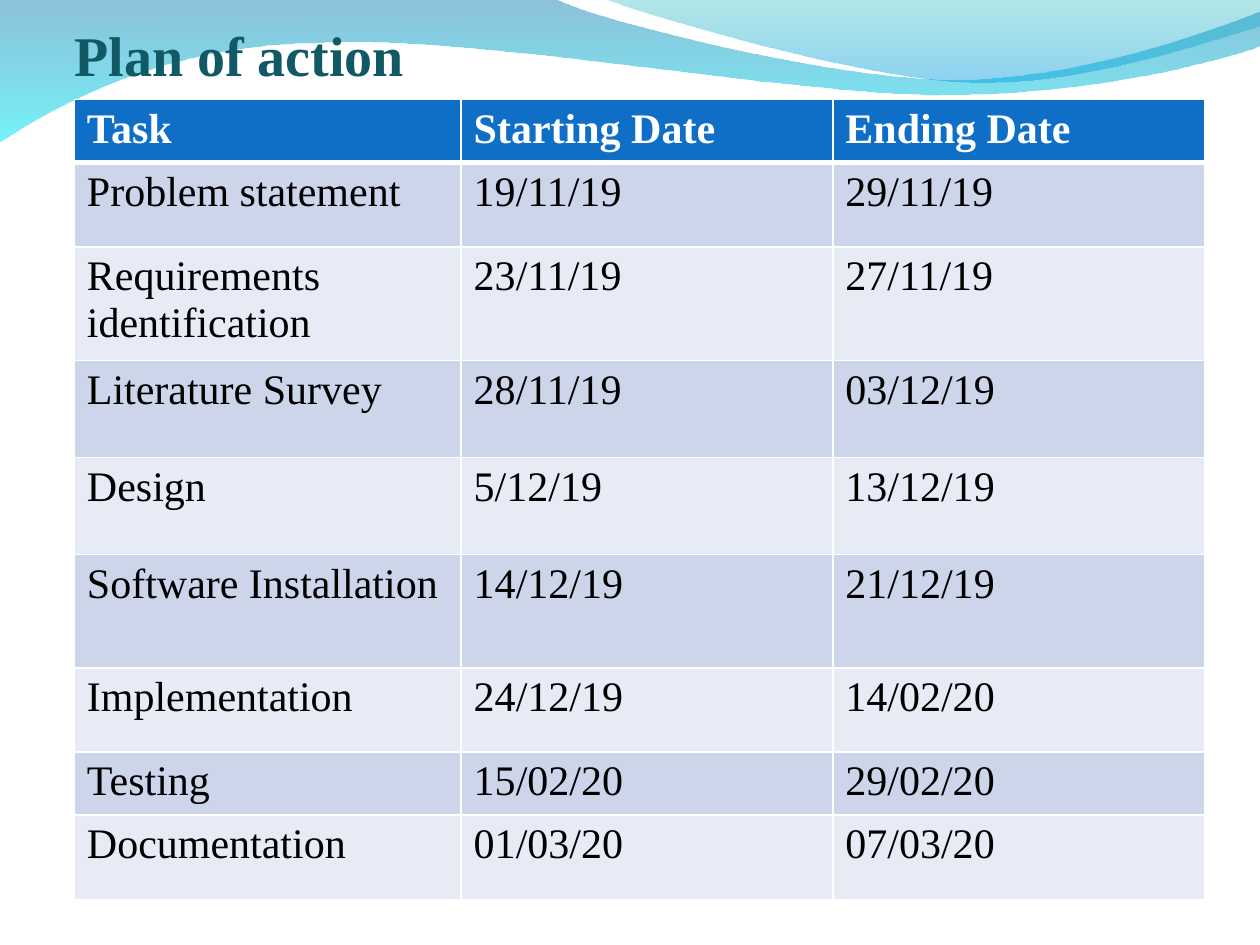
from lxml.etree import SubElement
from pptx import Presentation
from pptx.dml.color import RGBColor
from pptx.enum.text import MSO_ANCHOR
from pptx.oxml.ns import qn
from pptx.util import Inches, Pt

COLORS = {
    "title": "115964", "header": "0F6FC6", "header_text": "FFFFFF",
    "text": "000000", "band_dark": "CCD5EA", "band_light": "E7EBF5",
    "border": "FFFFFF",
}
FONT = "Times New Roman"
HEADER_BORDERS = {"a:lnL": 1, "a:lnR": 1, "a:lnT": 1, "a:lnB": 3}


def set_font(font, size, color, bold):
    font.name, font.size, font.bold = FONT, Pt(size), bold
    font.color.rgb = RGBColor.from_string(COLORS[color])


def set_borders(cell, widths):
    properties = cell._tc.get_or_add_tcPr()
    for position, (tag, width) in enumerate(widths.items()):
        line = SubElement(properties, qn(tag), w=str(Pt(width)))
        fill = SubElement(line, qn("a:solidFill"))
        SubElement(fill, qn("a:srgbClr"), val=COLORS["border"])
        properties.insert(position, line)


presentation = Presentation()
presentation.slide_width, presentation.slide_height = Inches(10), Inches(7.5)
slide = presentation.slides.add_slide(presentation.slide_layouts[6])

# Waves along the top: start, segments (one point is a line, three are a curve),
# then gradient stops as (colour, opacity %)
waves = [
    ((0, -0.01),
     [[(4.4, -0.01)],
      [(4.76, 0.17), (6.64, 0.63), (7.58, 0.63)],
      [(8.53, 0.63), (9.58, 0.26), (10, 0.09)],
      [(10.01, 0.36)],
      [(9.83, 0.44), (8.7, 0.76), (7.46, 0.75)],
      [(6.22, 0.75), (3.82, 0.28), (2.57, 0.34)],
      [(1.29, 0.35), (0.46, 0.83), (-0.01, 1.13)],
      [(0, -0.01)]],
     [("0079AF", 45), ("00EBF8", 55)]),
    ((4.79, -0.01),
     [[(5.09, 0.11), (6.82, 0.62), (7.69, 0.65)],
      [(8.56, 0.69), (9.61, 0.32), (10, 0.21)],
      [(10, 0)],
      [(4.79, -0.01)]],
     [("00ADB6", 30), ("009BE5", 45)]),
]
for (start_x, start_y), segments, stops in waves:
    builder = slide.shapes.build_freeform(Inches(start_x), Inches(start_y))
    builder.add_line_segments(
        [(Inches(x), Inches(y)) for segment in segments for x, y in segment], close=True)
    wave = builder.convert_to_shape()
    wave.shadow.inherit = False
    wave.line.fill.background()

    # Join each three control points into one curve
    lines = iter(list(wave.element.spPr.iter(qn("a:lnTo"))))
    for segment in segments:
        group = [next(lines) for point in segment]
        if len(group) == 3:
            outline = group[0].getparent()
            curve = SubElement(outline, qn("a:cubicBezTo"))
            outline.replace(group[0], curve)
            curve.append(group[0][0])
            for line in group[1:]:
                curve.append(line[0])
                outline.remove(line)

    wave.fill.gradient()
    wave.fill.gradient_angle = 270
    for stop, (color, opacity) in zip(wave.fill.gradient_stops, stops):
        stop.color.rgb = RGBColor.from_string(color)
    color_elements = list(wave.element.spPr.iter(qn("a:srgbClr")))
    for element, (color, opacity) in zip(color_elements, stops):
        SubElement(element, qn("a:alpha"), val=str(opacity * 1000))

# Title
title = slide.shapes.add_textbox(Inches(0.59), Inches(0.24), Inches(8.82), Inches(0.46))
frame = title.text_frame
frame.word_wrap = True
frame.vertical_anchor = MSO_ANCHOR.BOTTOM
frame.margin_left = frame.margin_right = frame.margin_bottom = 0
frame.margin_top = Inches(0.05)
frame.text = "Plan of action"
set_font(frame.paragraphs[0].font, 32, "title", True)

# Schedule table: row height, then cell texts
schedule = [
    (0.5, "Task", "Starting Date", "Ending Date"),
    (0.67, "Problem statement", "19/11/19", "29/11/19"),
    (0.9, "Requirements identification", "23/11/19", "27/11/19"),
    (0.77, "Literature Survey", "28/11/19", "03/12/19"),
    (0.77, "Design", "5/12/19", "13/12/19"),
    (0.9, "Software Installation", "14/12/19", "21/12/19"),
    (0.67, "Implementation", "24/12/19", "14/02/20"),
    (0.5, "Testing", "15/02/20", "29/02/20"),
    (0.67, "Documentation", "01/03/20", "07/03/20"),
]
column_widths = [3.07, 2.95, 2.95]
table = slide.shapes.add_table(
    len(schedule), len(column_widths), Inches(0.59), Inches(0.79),
    Inches(sum(column_widths)), Inches(sum(row[0] for row in schedule))).table
for column, width in zip(table.columns, column_widths):
    column.width = Inches(width)
for index, (height, *texts) in enumerate(schedule):
    is_header = index == 0
    band = "header" if is_header else "band_dark" if index % 2 else "band_light"
    table.rows[index].height = Inches(height)
    for cell, text in zip(table.rows[index].cells, texts):
        cell.text = text
        cell.fill.solid()
        cell.fill.fore_color.rgb = RGBColor.from_string(COLORS[band])
        set_font(cell.text_frame.paragraphs[0].font, 24,
                 "header_text" if is_header else "text", is_header)
        if is_header:
            set_borders(cell, HEADER_BORDERS)

presentation.save("out.pptx")
